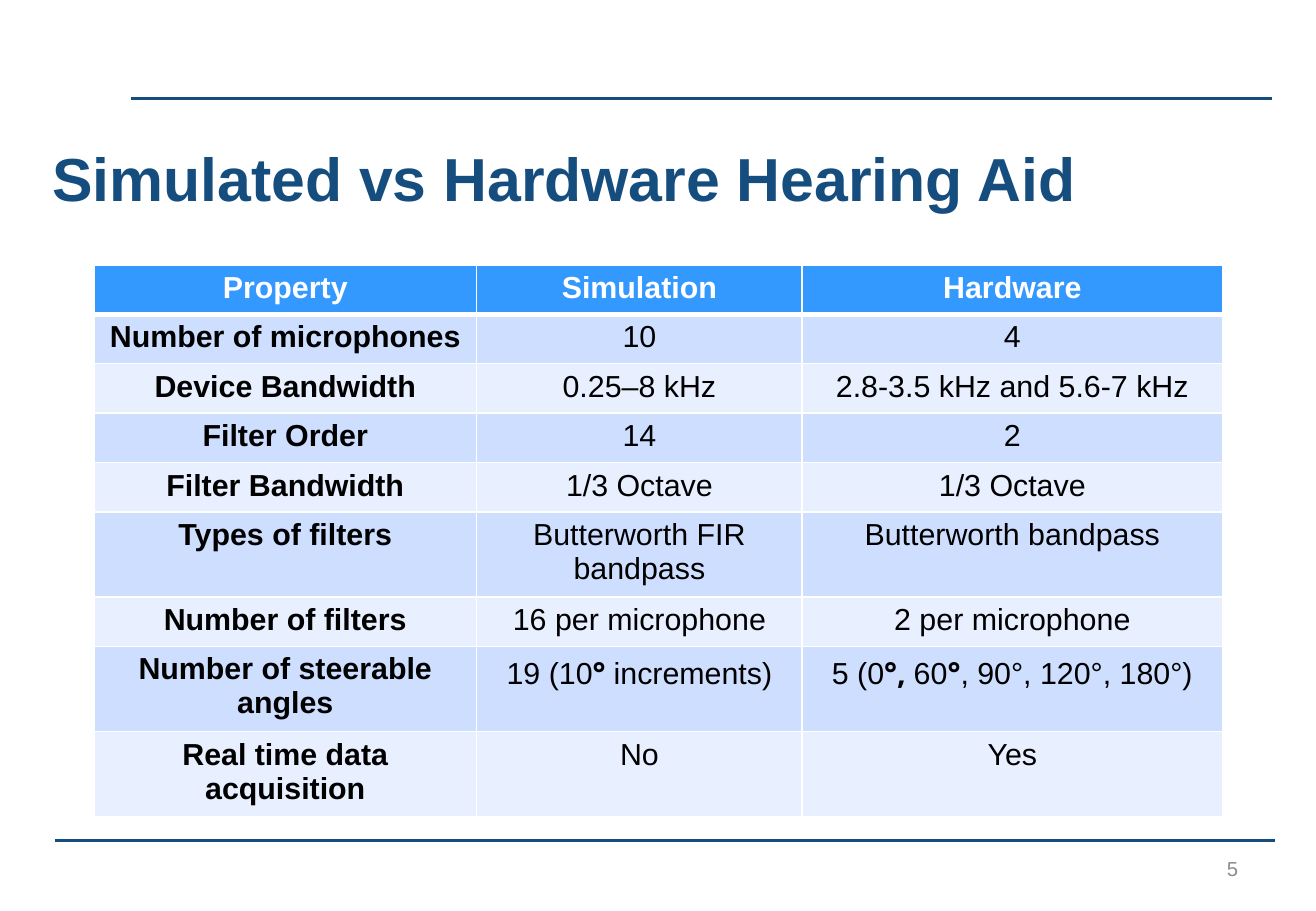
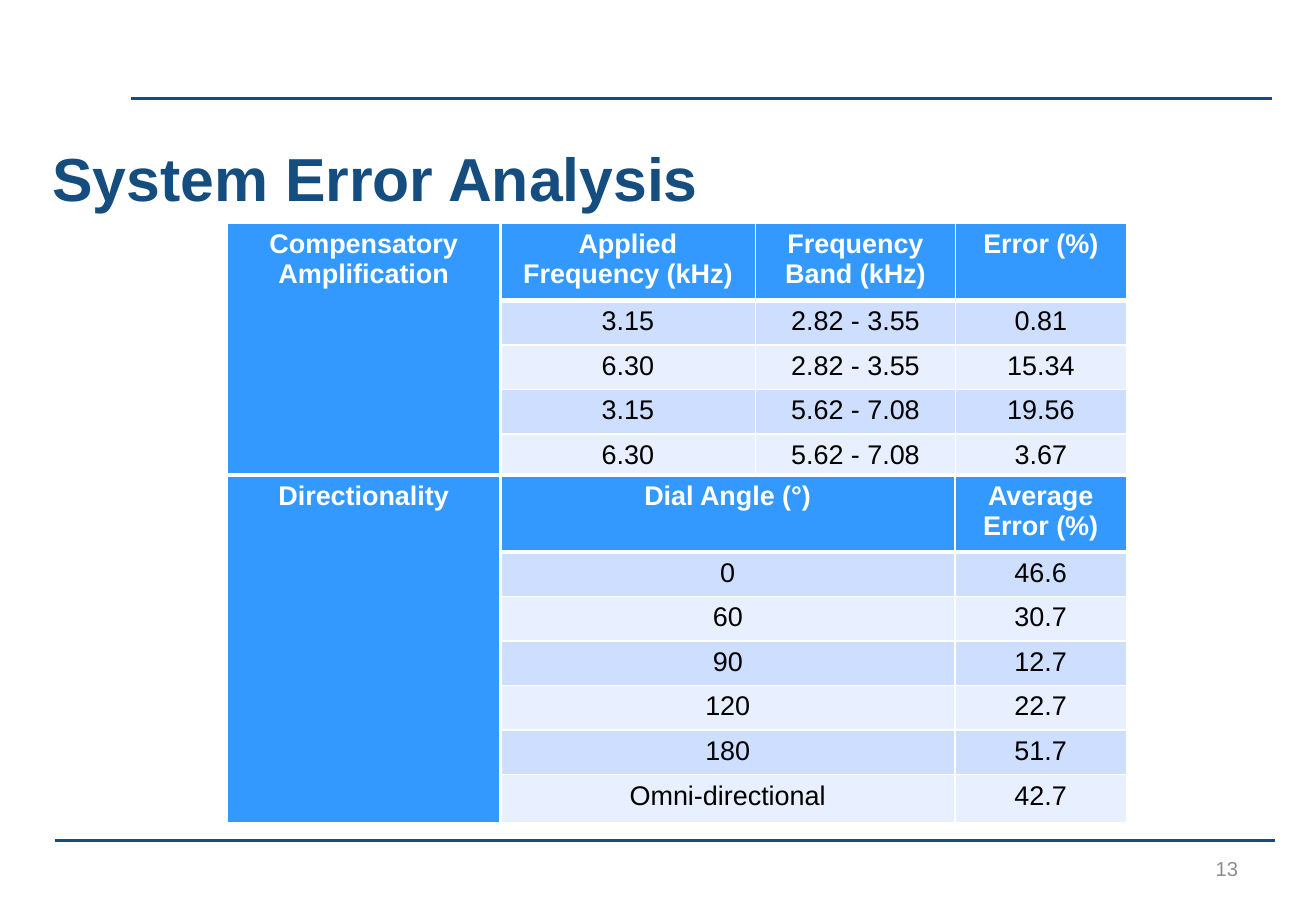
from dataclasses import dataclass

from lxml import etree
from pptx import Presentation
from pptx.dml.color import RGBColor
from pptx.enum import shapes, text
from pptx.oxml import ns
from pptx.util import Pt


@dataclass(frozen=True)
class Theme:
    navy: str = "154E7E"
    header: str = "3399FF"
    bands: tuple[str, str] = ("CEDEFF", "E8EFFF")
    white: str = "FFFFFF"
    black: str = "000000"
    grey: str = "8C8C8C"
    font: str = "Arial"
    symbol_font: str = "Noto Sans"
    title_size: float = 36
    number_size: float = 12
    thin: float = 1
    medium: float = 2.25
    thick: float = 3


@dataclass(frozen=True)
class Rule:
    left: float
    right: float
    y: float
    weight: float


@dataclass(frozen=True)
class Table:
    """A grid; a group name fills a merged first column before the rows."""
    left: float
    top: float
    size: float
    widths: list[float]
    heights: list[float]
    rows: list[list[str]]
    group: str = ""
    top_edge: float = 1


@dataclass(frozen=True)
class Page:
    title: str
    number: int
    tables: list[Table]


THEME = Theme()
RULES = [Rule(32.4, 756, 498.2, 2.25), Rule(77.8, 753.8, 58.3, 2)]

# A "|" switches between the text font and the bold symbol font.
COMPARISON = Table(
    55.7, 157, 18, [226.8, 193, 249.1], [29.3] * 9,
    [["Property", "Simulation", "Hardware"],
     ["Number of microphones", "10", "4"],
     ["Device Bandwidth", "0.25–8 kHz", "2.8-3.5 kHz and 5.6-7 kHz"],
     ["Filter Order", "14", "2"],
     ["Filter Bandwidth", "1/3 Octave", "1/3 Octave"],
     ["Types of filters", "Butterworth FIR bandpass", "Butterworth bandpass"],
     ["Number of filters", "16 per microphone", "2 per microphone"],
     ["Number of steerable angles", "19 (10|° |increments)",
      "5 (0|°, |60|°|, 90°, 120°, 180°)"],
     ["Real time data acquisition", "No", "Yes"]])

AMPLIFICATION = Table(
    134.6, 132.5, 16, [162, 151.2, 118.6, 101.2], [43, 25, 25, 25, 31],
    [["Applied Frequency (kHz)", "Frequency Band (kHz)", "Error (%)"],
     ["3.15", "2.82 - 3.55", "0.81"],
     ["6.30", "2.82 - 3.55", "15.34"],
     ["3.15", "5.62 - 7.08", "19.56"],
     ["6.30", "5.62 - 7.08", "3.67"]],
    "Compensatory Amplification")

DIRECTIONALITY = Table(
    134.6, 281.5, 16, [162, 269.5, 101.5], [44] + [25.7] * 5 + [28.5],
    [["Dial Angle (°)", "Average Error (%)"],
     ["0", "46.6"],
     ["60", "30.7"],
     ["90", "12.7"],
     ["120", "22.7"],
     ["180", "51.7"],
     ["Omni-directional", "42.7"]],
    "Directionality", THEME.medium)

PAGES = [
    Page("Simulated vs Hardware Hearing Aid", 5, [COMPARISON]),
    Page("System Error Analysis", 13, [AMPLIFICATION, DIRECTIONALITY]),
]


def style_run(r, size: float, color: str, bold: bool = False,
              font: str = THEME.font) -> None:
    r.font.name = font
    r.font.size = Pt(size)
    r.font.bold = bold
    r.font.color.rgb = RGBColor.from_string(color)


def add_rule(s, rule: Rule) -> None:
    line = s.shapes.add_connector(
        shapes.MSO_CONNECTOR.STRAIGHT,
        Pt(rule.left), Pt(rule.y), Pt(rule.right), Pt(rule.y))
    line.line.color.rgb = RGBColor.from_string(THEME.navy)
    line.line.width = Pt(rule.weight)
    etree.SubElement(line._element.spPr, ns.qn("a:effectLst"))


def add_text(s, box: tuple[float, float, float, float], content: str):
    """Add a wrapping one-paragraph text box and return its frame."""
    tf = s.shapes.add_textbox(*map(Pt, box)).text_frame
    tf.word_wrap = True
    tf.text = content
    return tf


def add_title(s, title: str) -> None:
    tf = add_text(s, (27.4, 82.1, 659.5, 46.1), title)
    tf.margin_left = tf.margin_right = Pt(3.6)
    tf.margin_top = tf.margin_bottom = Pt(1.44)
    tf.vertical_anchor = text.MSO_ANCHOR.BOTTOM
    style_run(tf.paragraphs[0].runs[0], THEME.title_size, THEME.navy, True)


def add_number(s, number: int) -> None:
    tf = add_text(s, (558.7, 500.4, 182.2, 28.8), str(number))
    tf.vertical_anchor = text.MSO_ANCHOR.MIDDLE
    p = tf.paragraphs[0]
    p.alignment = text.PP_ALIGN.RIGHT
    style_run(p.runs[0], THEME.number_size, THEME.grey)


def set_borders(cell, left: float, right: float, top: float,
                bottom: float) -> None:
    tc_pr = cell._tc.get_or_add_tcPr()
    for i, (side, weight) in enumerate(zip("LRTB", (left, right, top, bottom))):
        ln = etree.Element(ns.qn(f"a:ln{side}"), w=str(int(Pt(weight))))
        fill = etree.SubElement(ln, ns.qn("a:solidFill"))
        etree.SubElement(fill, ns.qn("a:srgbClr"), val=THEME.white)
        tc_pr.insert(i, ln)


def fill_cell(cell, content: str, size: float, color: str, bold: bool,
              background: str) -> None:
    cell.fill.solid()
    cell.fill.fore_color.rgb = RGBColor.from_string(background)
    p = cell.text_frame.paragraphs[0]
    p.alignment = text.PP_ALIGN.CENTER
    for i, part in enumerate(content.split("|") if content else []):
        r = p.add_run()
        r.text = part
        symbol = i % 2 == 1
        style_run(r, size, color, bold or symbol,
                  THEME.symbol_font if symbol else THEME.font)


def add_table(s, t: Table) -> None:
    grid = s.shapes.add_table(
        len(t.heights), len(t.widths), Pt(t.left), Pt(t.top),
        Pt(sum(t.widths)), Pt(sum(t.heights))).table
    grid.first_row = grid.horz_banding = False
    for column, width in zip(grid.columns, t.widths):
        column.width = Pt(width)
    for row, height in zip(grid.rows, t.heights):
        row.height = Pt(height)

    group_edge = THEME.medium if t.group else THEME.thin
    for i, row in enumerate(t.rows):
        if t.group:
            row = [t.group if i == 0 else "", *row]
        for j, content in enumerate(row):
            cell = grid.cell(i, j)
            grouped = bool(t.group) and j == 0
            header = i == 0 or grouped
            fill_cell(cell, content, t.size,
                      THEME.white if header else THEME.black,
                      header or j == 0,
                      THEME.header if header else THEME.bands[(i - 1) % 2])
            header_edge = THEME.thin if grouped else THEME.thick
            set_borders(
                cell,
                left=group_edge if j == 1 else THEME.thin,
                right=group_edge if j == 0 else THEME.thin,
                top={0: t.top_edge, 1: header_edge}.get(i, THEME.thin),
                bottom=header_edge if i == 0 else THEME.thin)
    if t.group:
        grid.cell(0, 0).merge(grid.cell(len(t.rows) - 1, 0))


def add_page(prs, page: Page) -> None:
    s = prs.slides.add_slide(prs.slide_layouts[6])
    for rule in RULES:
        add_rule(s, rule)
    add_title(s, page.title)
    add_number(s, page.number)
    for t in page.tables:
        add_table(s, t)


def main() -> None:
    prs = Presentation()
    prs.slide_width, prs.slide_height = Pt(780), Pt(540)
    for page in PAGES:
        add_page(prs, page)
    prs.save("out.pptx")


if __name__ == "__main__":
    main()
